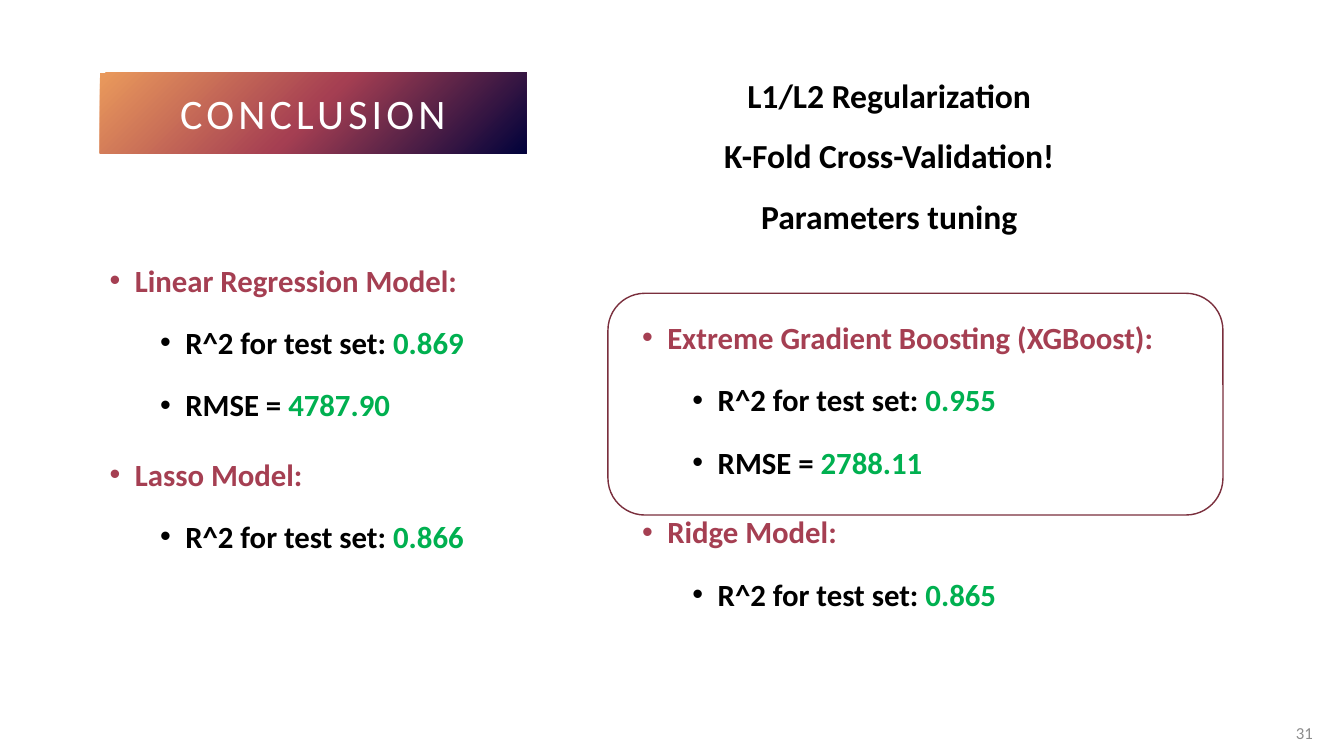
"""Build the conclusion slide comparing regression models."""
import pptx
import pptx.dml.color
import pptx.enum.shapes
import pptx.enum.text
import pptx.oxml
import pptx.oxml.ns
import pptx.util
from pptx.util import Inches

COLORS = {"navy": "01023B", "wine": "A53F52", "orange": "EA9A5C", "outline": "7A2F3D",
          "white": "FFFFFF", "black": "000000", "green": "00B050", "gray": "8C8C8C"}
ALIGN = pptx.enum.text.PP_ALIGN
ANCHOR = pptx.enum.text.MSO_ANCHOR
SHAPES = pptx.enum.shapes.MSO_SHAPE


def style(font, color, size, bold=False):
    font.color.rgb = pptx.dml.color.RGBColor.from_string(COLORS[color])
    settings = {"name": "Calibri", "size": pptx.util.Pt(size), "bold": bold}
    for attribute, value in settings.items():
        setattr(font, attribute, value)


def add_text_frame(left, top, width, height):
    box = slide.shapes.add_textbox(Inches(left), Inches(top), Inches(width), Inches(height))
    box.text_frame.word_wrap = True
    return box.text_frame


presentation = pptx.Presentation()
presentation.slide_width = Inches(13.33)
presentation.slide_height = Inches(7.5)
slide = presentation.slides.add_slide(presentation.slide_layouts[6])

banner = slide.shapes.add_shape(SHAPES.RECTANGLE, Inches(0.99), Inches(0.72),
                                Inches(4.23), Inches(0.8))
banner.shadow.inherit = False
banner.line.fill.background()
stops = "".join(f'<a:gs pos="{position * 1000}"><a:srgbClr val="{COLORS[color]}"/></a:gs>'
                for position, color in ((0, "navy"), (50, "wine"), (100, "orange")))
gradient = pptx.oxml.parse_xml(
    f'<a:gradFill {pptx.oxml.ns.nsdecls("a")} rotWithShape="1"><a:gsLst>{stops}</a:gsLst>'
    '<a:path path="circle"><a:fillToRect l="100000" t="100000"/></a:path></a:gradFill>')
banner.fill.background()
banner_properties = banner.element.spPr
banner_properties.replace(banner_properties.find(pptx.oxml.ns.qn("a:noFill")), gradient)
banner.text_frame.vertical_anchor = ANCHOR.MIDDLE
heading = banner.text_frame.paragraphs[0]
heading.alignment = ALIGN.CENTER
heading_run = heading.add_run()
heading_run.text = "CONCLUSION"
style(heading_run.font, "white", 30)
heading_run.font._element.set("spc", "300")

page_frame = add_text_frame(12.63, 7.07, 0.49, 0.4)
page_frame.vertical_anchor = ANCHOR.MIDDLE
page_number = page_frame.paragraphs[0]
page_number.text = "31"
page_number.alignment = ALIGN.RIGHT
style(page_number.runs[0].font, "gray", 12)

techniques = add_text_frame(5.85, 0.49, 5.94, 1.93).paragraphs[0]
techniques.text = "L1/L2 Regularization\vK-Fold Cross-Validation!\vParameters tuning"
techniques.alignment = ALIGN.CENTER
techniques.line_spacing = 1.5
for technique in techniques.runs:
    style(technique.font, "black", 24, True)

R2, RMSE = "R^2 for test set: ", "RMSE = "
columns = [
    ((0.99, 2.36, 4.54, 4.2), [
        ("Linear Regression Model:", [(R2, "0.869"), (RMSE, "4787.90")]),
        ("Lasso Model:", [(R2, "0.866")])]),
    ((6.27, 2.93, 5.94, 4.2), [
        ("Extreme Gradient Boosting (XGBoost):", [(R2, "0.955"), (RMSE, "2788.11")]),
        ("Ridge Model:", [(R2, "0.865")])]),
]
for position, models in columns:
    results = add_text_frame(*position)
    lines = []
    for model, metrics in models:
        lines.append((0, [(model, "wine")]))
        lines += [(1, [(label, "black"), (value, "green")]) for label, value in metrics]
    for index, (level, parts) in enumerate(lines):
        line = results.add_paragraph() if index else results.paragraphs[0]
        line.level = level
        line.line_spacing = 1.5
        if index:
            line.space_before = pptx.util.Pt(5 if level else 10)
        properties = line._p.get_or_add_pPr()
        properties.set("marL", str(Inches(0.25 + 0.5 * level)))
        properties.set("indent", str(Inches(-0.25)))
        for tag, attribute, value in (("buFont", "typeface", "Arial"), ("buChar", "char", "•")):
            bullet = pptx.oxml.parse_xml(f'<a:{tag} {pptx.oxml.ns.nsdecls("a")}/>')
            bullet.set(attribute, value)
            properties.append(bullet)
        for text, color in parts:
            run = line.add_run()
            run.text = text
            style(run.font, color, 22, True)

best_model = slide.shapes.add_shape(SHAPES.ROUNDED_RECTANGLE, Inches(6.03), Inches(2.91),
                                    Inches(6.1), Inches(2.2))
best_model.shadow.inherit = False
best_model.fill.background()
best_model.line.color.rgb = pptx.dml.color.RGBColor.from_string(COLORS["outline"])
best_model.line.width = pptx.util.Pt(1)

presentation.save("out.pptx")
